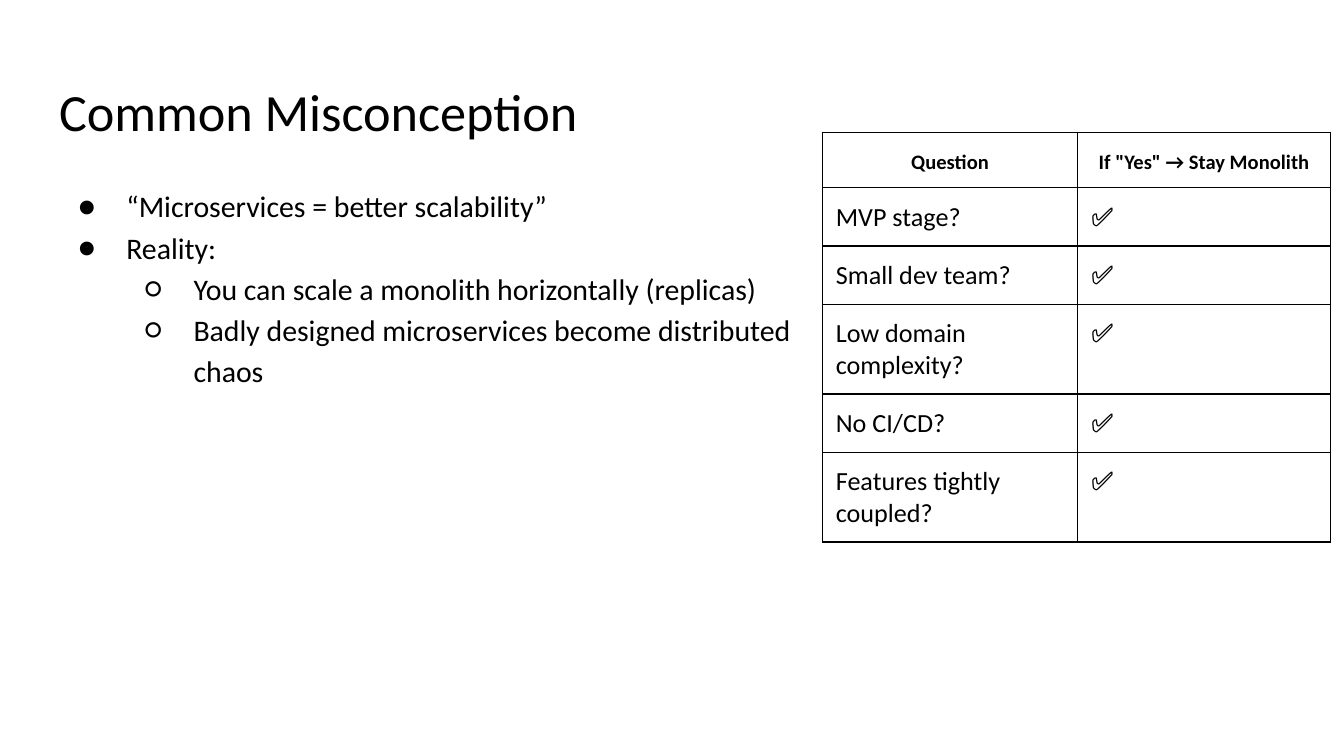
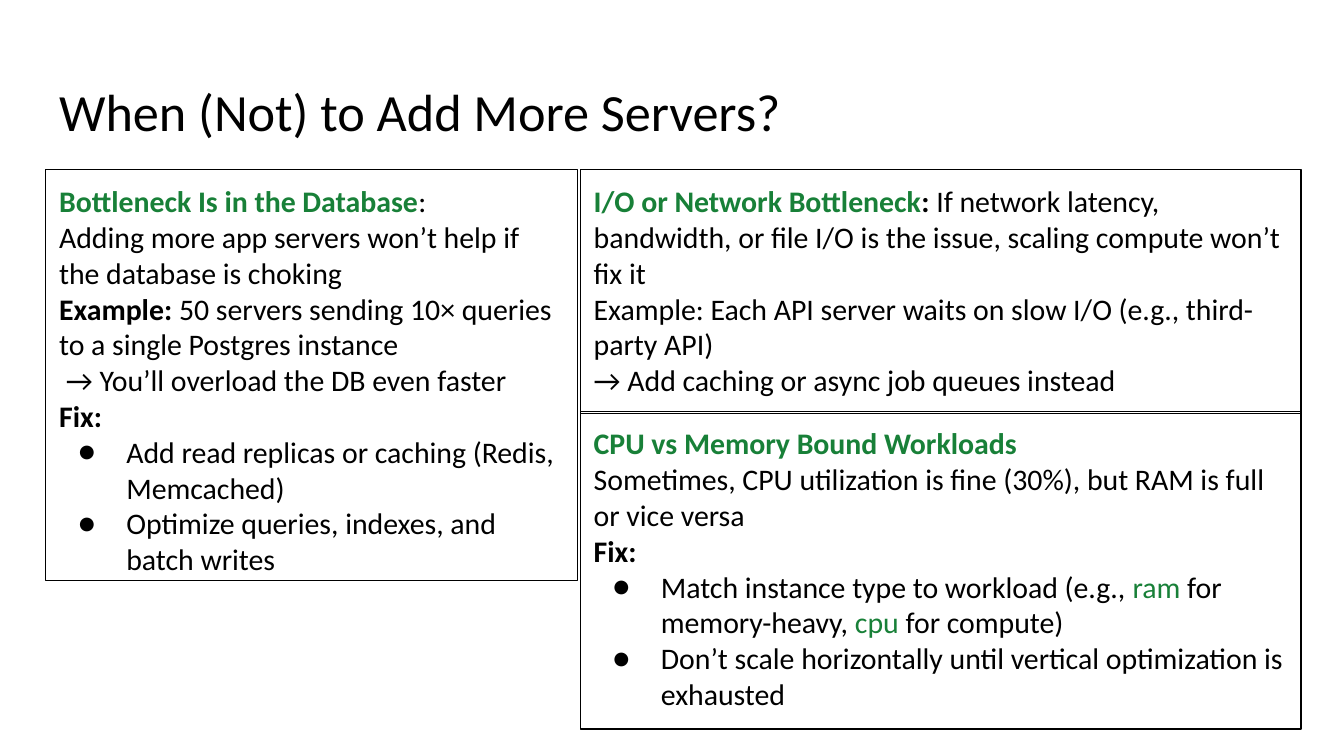
from dataclasses import dataclass

from lxml.etree import SubElement
from pptx import Presentation
from pptx.dml.color import RGBColor
from pptx.enum.shapes import MSO_SHAPE as Shape
from pptx.enum.text import MSO_ANCHOR as Anchor, MSO_AUTO_SIZE as AutoSize, PP_ALIGN as Align
from pptx.oxml.ns import qn
from pptx.util import Pt

FONT = "Calibri"
BLACK = "000000"
GREEN = "188038"
INSET = 7.2
LINE_WIDTH = 0.75
BULLETS = "●○"


@dataclass(frozen=True)
class Box:
    left: float
    top: float
    width: float
    height: float


@dataclass(frozen=True)
class Span:
    text: str
    bold: bool = False
    color: str = BLACK


@dataclass(frozen=True)
class Para:
    spans: tuple[Span, ...]
    bullet_level: int | None = None
    indent: float = 0


@dataclass(frozen=True)
class Panel:
    box: Box
    paras: tuple[Para, ...]


TITLE_BOX = Box(24.5, 35, 671, 48.5)
MISCONCEPTION_BOX = Box(24.5, 90.7, 424, 123)


def rgb(color: str) -> RGBColor:
    return RGBColor.from_string(color)


def text(content: str) -> Para:
    return Para((Span(content),))


def heading(content: str) -> Para:
    return Para((Span(content, True),))


def bullet(*spans: Span | str, level: int = 0) -> Para:
    return Para(tuple(Span(s) if isinstance(s, str) else s for s in spans), level)


def style_run(r, size: float, bold: bool = False, color: str = BLACK) -> None:
    r.font.name = FONT
    r.font.size = Pt(size)
    r.font.bold = bold
    r.font.color.rgb = rgb(color)


def set_bullet(p, para: Para) -> None:
    pPr = p._p.get_or_add_pPr()
    level = para.bullet_level
    if level is None:
        pPr.set("marL", str(Pt(para.indent)))
        pPr.set("indent", "0")
        SubElement(pPr, qn("a:buNone"))
        return
    p.level = level
    pPr.set("marL", str(Pt(36 * (level + 1))))
    pPr.set("indent", str(Pt(-26)))
    clr = SubElement(pPr, qn("a:buClr"))
    SubElement(clr, qn("a:srgbClr"), val=BLACK)
    SubElement(pPr, qn("a:buFont"), typeface=FONT)
    SubElement(pPr, qn("a:buChar"), char=BULLETS[level])


def place(sp, box: Box) -> None:
    sp.left, sp.top = Pt(box.left), Pt(box.top)
    sp.width, sp.height = Pt(box.width), Pt(box.height)


def set_frame(tf) -> None:
    tf.word_wrap = True
    tf.auto_size = AutoSize.SHAPE_TO_FIT_TEXT
    tf.vertical_anchor = Anchor.TOP
    tf.margin_left = tf.margin_right = tf.margin_top = tf.margin_bottom = Pt(INSET)


def write_paras(tf, paras: tuple[Para, ...], spacing: float = 1.0) -> None:
    set_frame(tf)
    for i, para in enumerate(paras):
        p = tf.add_paragraph() if i else tf.paragraphs[0]
        set_bullet(p, para)
        p.alignment = Align.LEFT
        p.line_spacing = spacing
        p.space_before = p.space_after = Pt(0)
        for span in para.spans:
            r = p.add_run()
            r.text = span.text
            style_run(r, 16, span.bold, span.color)


def add_titled_slide(prs, title: str):
    s = prs.slides.add_slide(prs.slide_layouts[1])
    sp = s.shapes.title
    place(sp, TITLE_BOX)
    tf = sp.text_frame
    tf.text = title
    set_frame(tf)
    p = tf.paragraphs[0]
    p.alignment = Align.LEFT
    style_run(p.runs[0], 28)
    return s


def fill_panel(sp, panel: Panel) -> None:
    place(sp, panel.box)
    sp.fill.background()
    sp.line.color.rgb = rgb(BLACK)
    sp.line.width = Pt(LINE_WIDTH)
    write_paras(sp.text_frame, panel.paras)


def set_borders(cell) -> None:
    tcPr = cell._tc.get_or_add_tcPr()
    for side in ("lnL", "lnR", "lnT", "lnB"):
        ln = SubElement(tcPr, qn(f"a:{side}"), w=str(Pt(LINE_WIDTH)))
        fill = SubElement(ln, qn("a:solidFill"))
        SubElement(fill, qn("a:srgbClr"), val=BLACK)


def style_cell(cell, content: str, header: bool) -> None:
    cell.text = content
    cell.margin_left = cell.margin_right = Pt(INSET)
    cell.margin_top = cell.margin_bottom = Pt(INSET)
    set_borders(cell)
    cell.fill.background()
    p = cell.text_frame.paragraphs[0]
    p.alignment = Align.CENTER if header else Align.LEFT
    p.line_spacing = 1.15 if header else 1.0
    style_run(p.runs[0], 11 if header else 14, header)


def add_monolith_table(s) -> None:
    questions = ("MVP stage?", "Small dev team?", "Low domain complexity?",
                 "No CI/CD?", "Features tightly coupled?")
    rows = [("Question", 'If "Yes" → Stay Monolith')] + [(q, "✅") for q in questions]
    frame = s.shapes.add_table(len(rows), 2, Pt(440.6), Pt(71), Pt(272.2), Pt(15.8 * len(rows)))
    table = frame.table
    table.first_row = table.horz_banding = False
    table.columns[0].width, table.columns[1].width = Pt(136.8), Pt(135.4)
    for i, row in enumerate(rows):
        for j, content in enumerate(row):
            style_cell(table.cell(i, j), content, i == 0)


def build_misconception(prs) -> None:
    s = add_titled_slide(prs, "Common Misconception")
    body = s.placeholders[1]
    place(body, MISCONCEPTION_BOX)
    write_paras(body.text_frame, (
        bullet("“Microservices = better scalability”"),
        bullet("Reality:"),
        bullet("You can scale a monolith horizontally (replicas)", level=1),
        bullet("Badly designed microservices become distributed chaos", level=1),
    ), 1.15)
    add_monolith_table(s)


DATABASE = Panel(Box(24.5, 90.7, 285, 227.5), (
    Para((Span("Bottleneck Is in the Database", True, GREEN), Span(":"))),
    text("Adding more app servers won’t help if the database is choking"),
    Para((Span("Example:", True),
          Span(" 50 servers sending 10× queries to a single Postgres instance"))),
    Para((Span("→ You’ll overload the DB even faster"),), indent=3.6),
    heading("Fix:"),
    bullet("Add read replicas or caching (Redis, Memcached)"),
    bullet("Optimize queries, indexes, and batch writes"),
))

WORKLOADS = Panel(Box(311, 220.5, 386, 170), (
    Para((Span("CPU vs Memory Bound Workloads", True, GREEN),)),
    text("Sometimes, CPU utilization is fine (30%), but RAM is full or vice versa"),
    heading("Fix:"),
    bullet("Match instance type to workload (e.g., ", Span("ram", color=GREEN),
           " for memory-heavy, ", Span("cpu", color=GREEN), " for compute)"),
    bullet("Don’t scale horizontally until vertical optimization is exhausted"),
))

NETWORK = Panel(Box(311, 90.7, 386, 131), (
    Para((Span("I/O or Network Bottleneck", True, GREEN), Span(":", True),
          Span(" If network latency, bandwidth, or file I/O is the issue, "
               "scaling compute won’t fix it"))),
    text("Example: Each API server waits on slow I/O (e.g., third-party API)"),
    text("→ Add caching or async job queues instead"),
))


def build_servers(prs) -> None:
    s = add_titled_slide(prs, "When (Not) to Add More Servers?")
    fill_panel(s.placeholders[1], DATABASE)
    for panel in (WORKLOADS, NETWORK):
        sp = s.shapes.add_shape(Shape.RECTANGLE, 0, 0, 0, 0)
        sp.shadow.inherit = False
        fill_panel(sp, panel)


def main() -> None:
    prs = Presentation()
    prs.slide_width, prs.slide_height = Pt(720), Pt(405)
    build_misconception(prs)
    build_servers(prs)
    prs.save("out.pptx")


if __name__ == "__main__":
    main()
